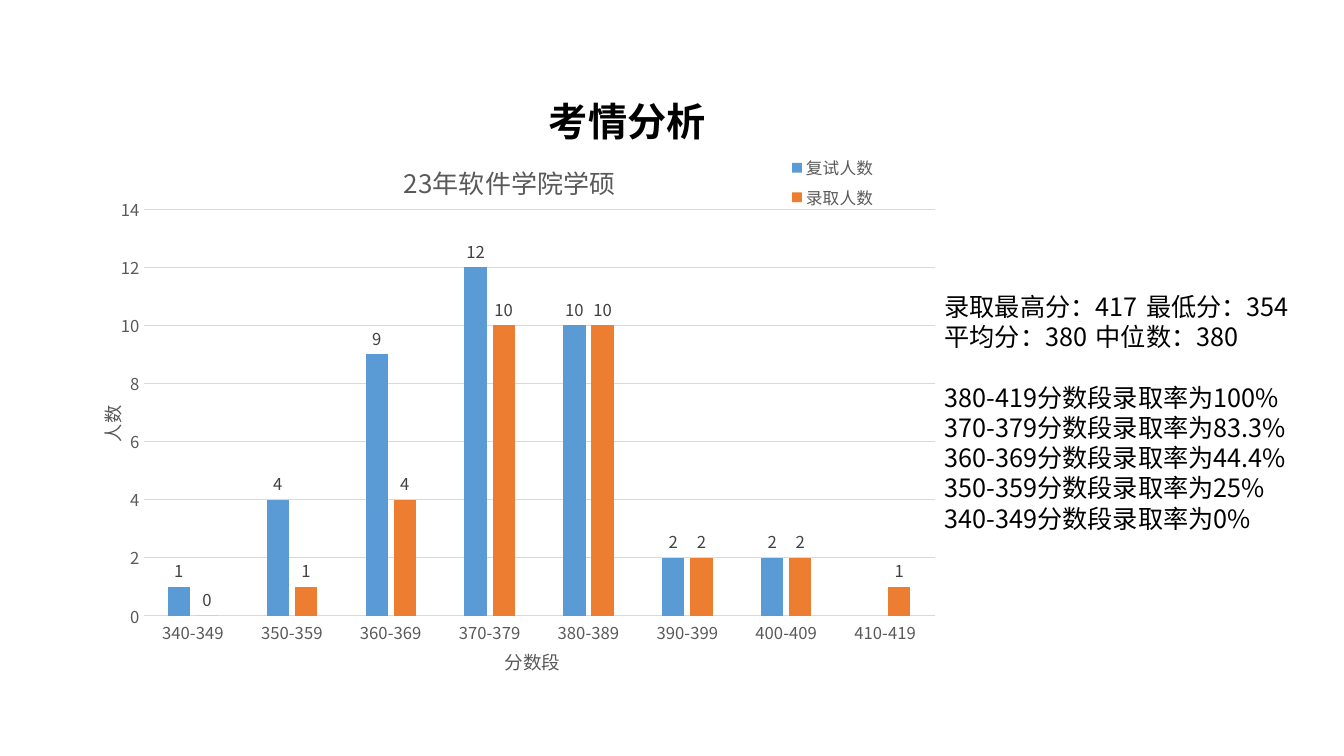
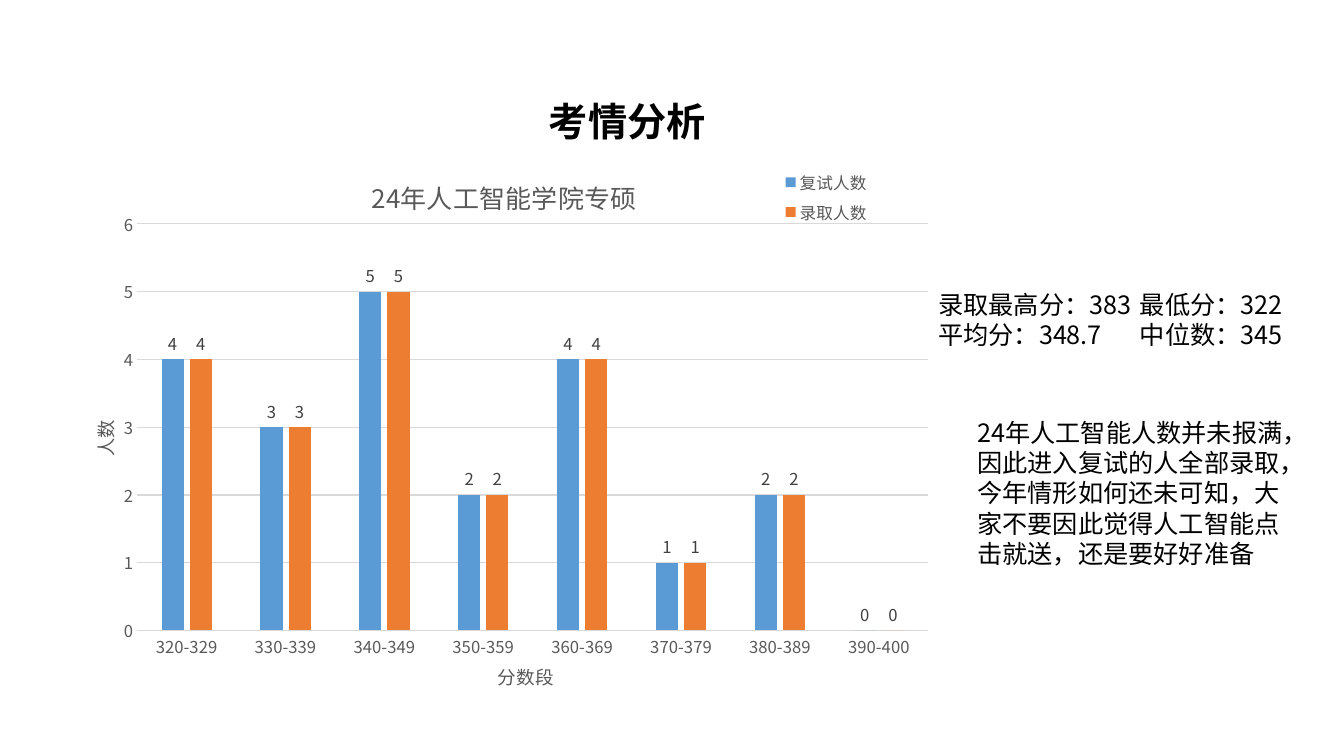
import pptx
import pptx.chart.data
import pptx.dml.color
import pptx.enum.chart
import pptx.enum.text
import pptx.oxml
import pptx.oxml.ns
import pptx.util
from lxml import etree

Pt = pptx.util.Pt
qn = pptx.oxml.ns.qn


def rgb(value):
    return pptx.dml.color.RGBColor.from_string(value)


def place(el, after, **fractions):
    """Give a chart part a manual layout, put behind the child named after."""
    old = el.find(qn("c:layout"))
    if old is not None:
        el.remove(old)
    layout = etree.Element(qn("c:layout"))
    manual = etree.SubElement(layout, qn("c:manualLayout"))
    if after is None:
        etree.SubElement(manual, qn("c:layoutTarget")).set("val", "inner")
        el.insert(0, layout)
    else:
        el.find(qn(after)).addnext(layout)
    for key in ("x", "y"):
        etree.SubElement(manual, qn(f"c:{key}Mode")).set("val", "edge")
    for key, value in fractions.items():
        etree.SubElement(manual, qn(f"c:{key}")).set("val", str(value))


class Deck:
    FONT = "Noto Sans CJK SC"
    TITLE_FONT = "Arial"
    BLACK, GRAY, LABEL, GRID = "000000", "595959", "404040", "D9D9D9"
    SERIES = ("5B9BD5", "ED7D31")
    LINE = 21.6

    def __init__(self):
        self.prs = pptx.Presentation()
        self.prs.slide_width, self.prs.slide_height = Pt(960), Pt(540)
        self.s = None

    def font(self, font, size, color, name=FONT, bold=False):
        font.name, font.size, font.bold = name, Pt(size), bold
        font.color.rgb = rgb(color)
        latin = font._rPr.find(qn("a:latin"))
        ea = etree.Element(qn("a:ea"), typeface=self.FONT)
        latin.addnext(ea)

    def frame(self, sp, box, anchor):
        sp.left, sp.top, sp.width, sp.height = map(Pt, box)
        tf = sp.text_frame
        tf.word_wrap = True
        tf.auto_size = pptx.enum.text.MSO_AUTO_SIZE.NONE
        tf.vertical_anchor = anchor
        return tf

    def slide(self, title):
        self.s = self.prs.slides.add_slide(self.prs.slide_layouts[1])
        tf = self.frame(self.s.shapes.title, (256, 65.5, 384, 41),
                        pptx.enum.text.MSO_ANCHOR.MIDDLE)
        tf.text = title
        p = tf.paragraphs[0]
        p.alignment = pptx.enum.text.PP_ALIGN.CENTER
        self.font(p.runs[0].font, 28, self.BLACK, self.TITLE_FONT, True)

    def paragraph(self, p, text, tab=None, gap=0):
        """Write one plain line, with an optional tab stop and space above."""
        p.text = text
        p.line_spacing, p.space_before, p.space_after = Pt(self.LINE), Pt(gap), Pt(0)
        pPr = p._p.get_or_add_pPr()
        pPr.set("marL", "0")
        pPr.set("indent", "0")
        etree.SubElement(pPr, qn("a:buNone"))
        if tab:
            tabs = etree.SubElement(pPr, qn("a:tabLst"))
            etree.SubElement(tabs, qn("a:tab"), pos=str(Pt(tab)), algn="l")
        self.font(p.runs[0].font, 18, self.BLACK)

    def body(self, box, lines):
        """Fill the body placeholder with (text, tab, gap) lines."""
        tf = self.frame(self.s.placeholders[1], box, pptx.enum.text.MSO_ANCHOR.TOP)
        for i, line in enumerate(lines):
            p = tf.add_paragraph() if i else tf.paragraphs[0]
            self.paragraph(p, *line)

    def note(self, box, text):
        sp = self.s.shapes.add_textbox(*map(Pt, box))
        tf = self.frame(sp, box, pptx.enum.text.MSO_ANCHOR.TOP)
        self.paragraph(tf.paragraphs[0], text)

    def chart_title(self, title, text, size, x, y):
        title.text_frame.text = text
        self.font(title.text_frame.paragraphs[0].runs[0].font, size, self.GRAY)
        place(title._element, "c:tx", x=x, y=y)

    def axis(self, axis, title, x, y):
        axis.has_title = True
        self.chart_title(axis.axis_title, title, 13.3, x, y)
        axis.major_tick_mark = pptx.enum.chart.XL_TICK_MARK.NONE
        axis.minor_tick_mark = pptx.enum.chart.XL_TICK_MARK.NONE
        self.font(axis.tick_labels.font, 11.9, self.GRAY)

    def chart(self, left, top, title, title_x, cats, series, peak, step):
        data = pptx.chart.data.CategoryChartData()
        data.categories = cats
        for name, values in series:
            data.add_series(name, values)
        chart = self.s.shapes.add_chart(
            pptx.enum.chart.XL_CHART_TYPE.COLUMN_CLUSTERED,
            Pt(left), Pt(top), Pt(608), Pt(390), data).chart
        self.font(chart.font, 10, self.BLACK)
        chart.has_title = True
        self.chart_title(chart.chart_title, title, 18.6, title_x, 0.04)
        place(chart._chartSpace.chart.plotArea, None, x=0.07, y=0.14, w=0.93, h=0.76)

        chart.has_legend = True
        legend = chart.legend
        legend.position = pptx.enum.chart.XL_LEGEND_POSITION.BOTTOM
        legend.include_in_layout = False
        self.font(legend.font, 11.9, self.GRAY)
        place(legend._element, "c:legendPos", x=0.82, y=0.03, w=0.12, h=0.12)

        self.axis(chart.category_axis, "分数段", 0.49, 0.95)
        line = chart.category_axis.format.line
        line.color.rgb, line.width = rgb(self.GRID), Pt(0.75)
        value_axis = chart.value_axis
        self.axis(value_axis, "人数", 0.01, 0.5)
        value_axis.minimum_scale, value_axis.maximum_scale = 0, peak
        value_axis.major_unit = step
        value_axis.format.line.fill.background()
        line = value_axis.major_gridlines.format.line
        line.color.rgb, line.width = rgb(self.GRID), Pt(0.75)

        plot = chart.plots[0]
        plot.gap_width, plot.overlap, plot.vary_by_categories = 219, -27, False
        for ser, color in zip(plot.series, self.SERIES):
            ser.format.fill.solid()
            ser.format.fill.fore_color.rgb = rgb(color)
            labels = ser.data_labels
            labels.show_value = True
            labels.position = pptx.enum.chart.XL_LABEL_POSITION.OUTSIDE_END
            self.font(labels.font, 11.9, self.LABEL)


def score_bands(first, count):
    return [f"{low}-{low + 9}" for low in range(first, first + 10 * count, 10)]


def main():
    deck = Deck()
    heading = "考情分析"
    interviewed, admitted = "复试人数", "录取人数"

    deck.slide(heading)
    rates = [("380-419", "100%"), ("370-379", "83.3%"), ("360-369", "44.4%"),
             ("350-359", "25%"), ("340-349", "0%")]
    lines = [("录取最高分：417\t最低分：354", 159), ("平均分：380\t中位数：380", 123)]
    for i, (band, rate) in enumerate(rates):
        lines.append((f"{band}分数段录取率为{rate}", None, 0 if i else deck.LINE))
    deck.body((667.5, 204.5, 290, 181.5), lines)
    deck.chart(60, 96, "23年软件学院学硕", 0.37, score_bands(340, 8),
               [(interviewed, (1, 4, 9, 12, 10, 2, 2, None)),
                (admitted, (0, 1, 4, 10, 10, 2, 2, 1))], 14, 2)

    deck.slide(heading)
    deck.body((663, 203, 290, 51),
              [("录取最高分：383\t最低分：322", 159), ("平均分：348.7\t中位数：345", 138)])
    counts = (4, 3, 5, 2, 4, 1, 2, 0)
    deck.chart(55.5, 106.5, "24年人工智能学院专硕", 0.34,
               score_bands(320, 7) + ["390-400"],
               [(interviewed, counts), (admitted, counts)], 6, 1)
    deck.note((691, 294.5, 234, 137),
              "24年人工智能人数并未报满，因此进入复试的人全部录取，今年情形如何还未可知，"
              "大家不要因此觉得人工智能点击就送，还是要好好准备")

    deck.prs.save("out.pptx")


if __name__ == "__main__":
    main()
